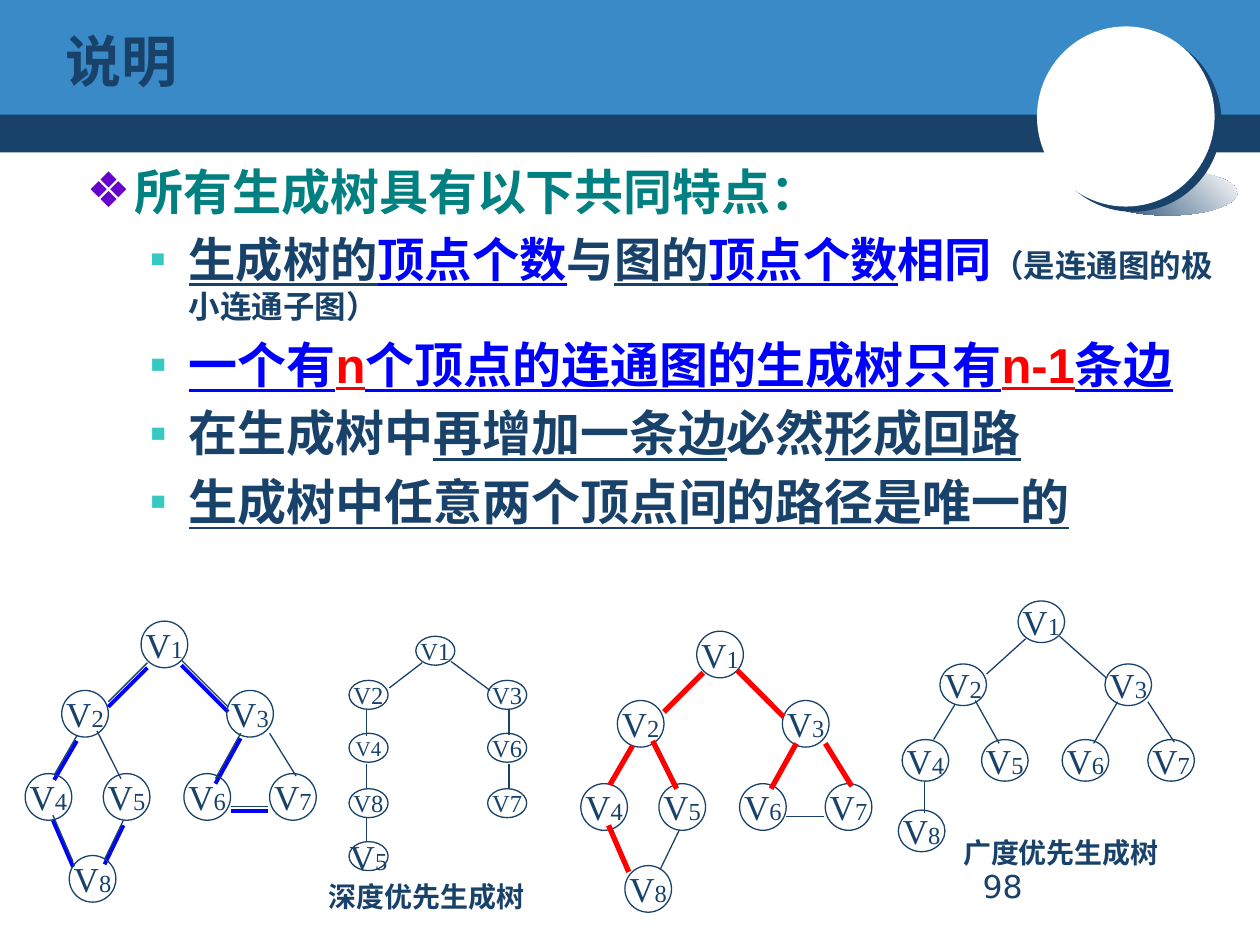
from dataclasses import dataclass

from lxml import etree
from pptx import Presentation
from pptx import util as u
from pptx.dml.color import RGBColor
from pptx.enum import shapes, text
from pptx.oxml.ns import qn

NAVY = RGBColor(0x19, 0x42, 0x6B)
SKY = RGBColor(0x39, 0x8A, 0xC7)
WHITE = RGBColor(0xFF, 0xFF, 0xFF)
BLUE = RGBColor(0x00, 0x00, 0xFF)
RED = RGBColor(0xFF, 0x00, 0x00)
GREEN = RGBColor(0x00, 0x80, 0x80)
PURPLE = RGBColor(0x66, 0x00, 0xCC)
TEAL = RGBColor(0x35, 0xC9, 0xC2)
SERIF, SANS, ARIAL = "Times New Roman", "DejaVu Sans", "Arial"


@dataclass
class Tree:
    nodes: dict
    edges: dict
    width: float
    height: float
    sizes: tuple = (20, 14)


@dataclass
class Bullet:
    char: str
    color: RGBColor
    indent: float
    hang: float
    level: int


TOP = Bullet("❖", PURPLE, 0.38, 0.38, 0)
SUB = Bullet("▪", TEAL, 0.81, 0.31, 1)

GRAPH = Tree(
    {1: (1.12, 4.93), 2: (0.49, 5.48), 4: (0.2, 6.14), 5: (0.82, 6.14),
     3: (1.8, 5.48), 7: (2.14, 6.14), 6: (1.46, 6.14), 8: (0.55, 6.79)},
    {"12": (1.17, 5.26, 0.86, 5.57), "13": (1.44, 5.24, 1.81, 5.61),
     "24": (0.61, 5.84, 0.43, 6.15), "25": (0.77, 5.8, 0.96, 6.18),
     "48": (0.42, 6.47, 0.58, 6.84), "58": (0.98, 6.51, 0.83, 6.82),
     "36": (1.91, 5.82, 1.71, 6.18), "67": (1.83, 6.4, 2.13, 6.4),
     "37": (2.14, 5.82, 2.35, 6.16)},
    0.37, 0.37)
DEPTH = Tree(
    {1: (3.3, 5.05), 2: (2.77, 5.4), 4: (2.77, 5.82), 5: (2.77, 6.68),
     3: (3.87, 5.4), 7: (3.87, 6.26), 6: (3.87, 5.82), 8: (2.77, 6.26)},
    {"12": (3.35, 5.26, 3.09, 5.46), "13": (3.58, 5.25, 3.89, 5.48),
     "24": (2.91, 5.63, 2.91, 5.84), "48": (2.91, 6.06, 2.91, 6.26),
     "85": (2.91, 6.49, 2.91, 6.68), "36": (4.04, 5.63, 4.04, 5.83),
     "67": (4.04, 6.06, 4.04, 6.26)},
    0.31, 0.23, (14, 14))
DEPTH_SIZES = {4: (12, 12), 5: (20, 14)}
BREADTH = Tree(
    {1: (8.08, 4.77), 2: (7.46, 5.27), 4: (7.16, 5.87), 5: (7.79, 5.87),
     3: (8.77, 5.27), 7: (9.11, 5.87), 6: (8.43, 5.87), 8: (7.13, 6.43)},
    {"12": (8.14, 5.07, 7.83, 5.35), "13": (8.41, 5.05, 8.78, 5.38),
     "24": (7.58, 5.59, 7.41, 5.87), "25": (7.74, 5.56, 7.93, 5.9),
     "36": (8.87, 5.57, 8.68, 5.9), "37": (9.11, 5.57, 9.32, 5.89),
     "48": (7.34, 6.21, 7.34, 6.45)},
    0.37, 0.33)

POINTS = [
    (TOP, [("所有生成树具有以下共同特点：", dict(font=SANS, color=GREEN))]),
    (SUB, [("生成树的", dict(size=27, underline=True)),
           ("顶点个数", dict(size=27, color=BLUE, underline=True)),
           ("与", dict(size=27)),
           ("图的", dict(size=27, underline=True)),
           ("顶点个数", dict(size=27, color=BLUE, underline=True)),
           ("相同", dict(size=27, color=BLUE)),
           ("（是连通图的极小连通子图）", dict(size=18))]),
    (SUB, [("一个有", dict(color=BLUE, underline=True)),
           ("n", dict(color=RED, underline=True)),
           ("个顶点的连通图的生成树只有", dict(color=BLUE, underline=True)),
           ("n-1", dict(color=RED, underline=True)),
           ("条边", dict(color=BLUE, underline=True))]),
    (SUB, [("在生成树中", {}), ("再增加一条边", dict(underline=True)),
           ("必然", {}), ("形成回路", dict(underline=True))]),
    (SUB, [("生成树中任意两个顶点间的路径是唯一的", dict(underline=True))]),
]


def cm(inches: float) -> u.Length:
    return u.Cm(inches * 2.54)


def add_run(p, words: str, *, size: float = 28, font: str = ARIAL,
            color: RGBColor = NAVY, bold: bool = False, underline: bool = False) -> None:
    r = p.add_run()
    r.text = words
    r.font.size, r.font.name = u.Pt(size), font
    r.font.color.rgb = color
    r.font.bold, r.font.underline = bold, underline


def add_panel(s, kind, box: tuple, color: RGBColor):
    sp = s.shapes.add_shape(kind, *map(cm, box))
    sp.shadow.inherit = False
    sp.fill.solid()
    sp.fill.fore_color.rgb = color
    sp.line.fill.background()
    return sp


def add_text_box(s, box: tuple, wrap: bool = True):
    tf = s.shapes.add_textbox(*map(cm, box)).text_frame
    tf.word_wrap = wrap
    return tf


def add_caption(s, box: tuple, words: str) -> None:
    tf = add_text_box(s, box)
    tf.vertical_anchor = text.MSO_ANCHOR.MIDDLE
    tf.paragraphs[0].alignment = text.PP_ALIGN.CENTER
    add_run(tf.paragraphs[0], words, size=16, font=SERIF, bold=True)


def add_bullet(p, bullet: Bullet) -> None:
    p.level = bullet.level
    props = p._p.get_or_add_pPr()
    props.set("marL", str(cm(bullet.indent)))
    props.set("indent", str(-cm(bullet.hang)))
    color = etree.SubElement(props, qn("a:buClr"))
    etree.SubElement(color, qn("a:srgbClr"), val=str(bullet.color))
    etree.SubElement(props, qn("a:buFont"), typeface=ARIAL)
    etree.SubElement(props, qn("a:buChar"), char=bullet.char)


def draw_edges(s, tree: Tree, names: list, color: RGBColor = NAVY,
               weight: float = 0.75, dx: float = 0, dy: float = 0) -> None:
    for name in names:
        x1, y1, x2, y2 = tree.edges[name]
        line = s.shapes.add_connector(
            shapes.MSO_CONNECTOR.STRAIGHT,
            cm(x1 + dx), cm(y1 + dy), cm(x2 + dx), cm(y2 + dy))
        line.line.color.rgb = color
        line.line.width = u.Pt(weight)
        etree.SubElement(line.element.spPr, qn("a:effectLst"))


def draw_nodes(s, tree: Tree, dx: float = 0, dy: float = 0, special: dict = {}) -> None:
    for number, (x, y) in tree.nodes.items():
        box = (x + dx, y + dy, tree.width, tree.height)
        sp = s.shapes.add_shape(shapes.MSO_SHAPE.OVAL, *map(cm, box))
        sp.shadow.inherit = False
        sp.fill.background()
        sp.line.color.rgb = NAVY
        sp.line.width = u.Pt(0.75)
        tf = sp.text_frame
        tf.word_wrap = False
        tf.vertical_anchor = text.MSO_ANCHOR.MIDDLE
        p = tf.paragraphs[0]
        p.alignment = text.PP_ALIGN.CENTER
        letter, digit = special.get(number, tree.sizes)
        add_run(p, "V", size=letter, font=SERIF)
        add_run(p, str(number), size=digit, font=SERIF)


def draw_header(s) -> None:
    rect, oval = shapes.MSO_SHAPE.RECTANGLE, shapes.MSO_SHAPE.OVAL
    add_panel(s, rect, (0, 0.87, 10, 0.34), NAVY)
    add_panel(s, rect, (0, 0, 10, 0.91), SKY)
    fill = add_panel(s, oval, (8.71, 1.35, 1.11, 0.36), NAVY).fill
    fill.gradient()
    fill.gradient_angle = 45
    for stop, color in zip(fill.gradient_stops, (NAVY, WHITE)):
        stop.color.rgb = color
    disc = add_panel(s, oval, (8.23, 0.21, 1.41, 1.43), WHITE)
    effects = disc.element.spPr.find(qn("a:effectLst"))
    shadow = etree.SubElement(effects, qn("a:outerShdw"), dist=str(u.Pt(5)),
                              dir=str(37 * 60000), algn="ctr", rotWithShape="0")
    etree.SubElement(shadow, qn("a:srgbClr"), val=str(NAVY))

    title = s.shapes.title
    s.shapes.element.append(title.element)
    title.left, title.top, title.width, title.height = map(cm, (0.42, 0.17, 8.08, 0.62))
    tf = title.text_frame
    tf.vertical_anchor = text.MSO_ANCHOR.MIDDLE
    tf.paragraphs[0].alignment = text.PP_ALIGN.LEFT
    add_run(tf.paragraphs[0], "说明", size=32, font=SANS, bold=True)


def draw_points(s) -> None:
    tf = add_text_box(s, (0.59, 1.23, 9.33, 3.62))
    for i, (bullet, runs) in enumerate(POINTS):
        p = tf.add_paragraph() if i else tf.paragraphs[0]
        add_bullet(p, bullet)
        if i:
            p.space_before = u.Pt(5.6)
        for words, style in runs:
            add_run(p, words, bold=True, **style)


def main() -> None:
    prs = Presentation()
    prs.slide_width, prs.slide_height = u.Cm(25.4), u.Cm(19.05)
    s = prs.slides.add_slide(prs.slide_layouts[5])
    draw_header(s)
    draw_points(s)

    draw_edges(s, GRAPH, ["12", "13", "24", "48", "58", "36", "67"], BLUE, 2.25, dy=0.04)
    draw_nodes(s, GRAPH)
    draw_edges(s, GRAPH, list(GRAPH.edges))

    right, down = 4.41, 0.08
    draw_nodes(s, GRAPH, right, down)
    draw_edges(s, GRAPH, ["58", "67"], dx=right, dy=down)
    draw_edges(s, GRAPH, ["12", "13", "24", "25", "48", "36", "37"], RED, 3, right, down)

    draw_nodes(s, DEPTH, special=DEPTH_SIZES)
    draw_edges(s, DEPTH, list(DEPTH.edges))
    add_caption(s, (2.48, 6.93, 1.81, 0.37), "深度优先生成树")

    draw_nodes(s, BREADTH)
    draw_edges(s, BREADTH, list(BREADTH.edges))
    add_caption(s, (7.53, 6.58, 1.78, 0.37), "广度优先生成树")

    number = add_text_box(s, (7.7, 6.83, 2.08, 0.5))
    add_run(number.paragraphs[0], "98", size=18, font=SANS)
    prs.save("out.pptx")


if __name__ == "__main__":
    main()
